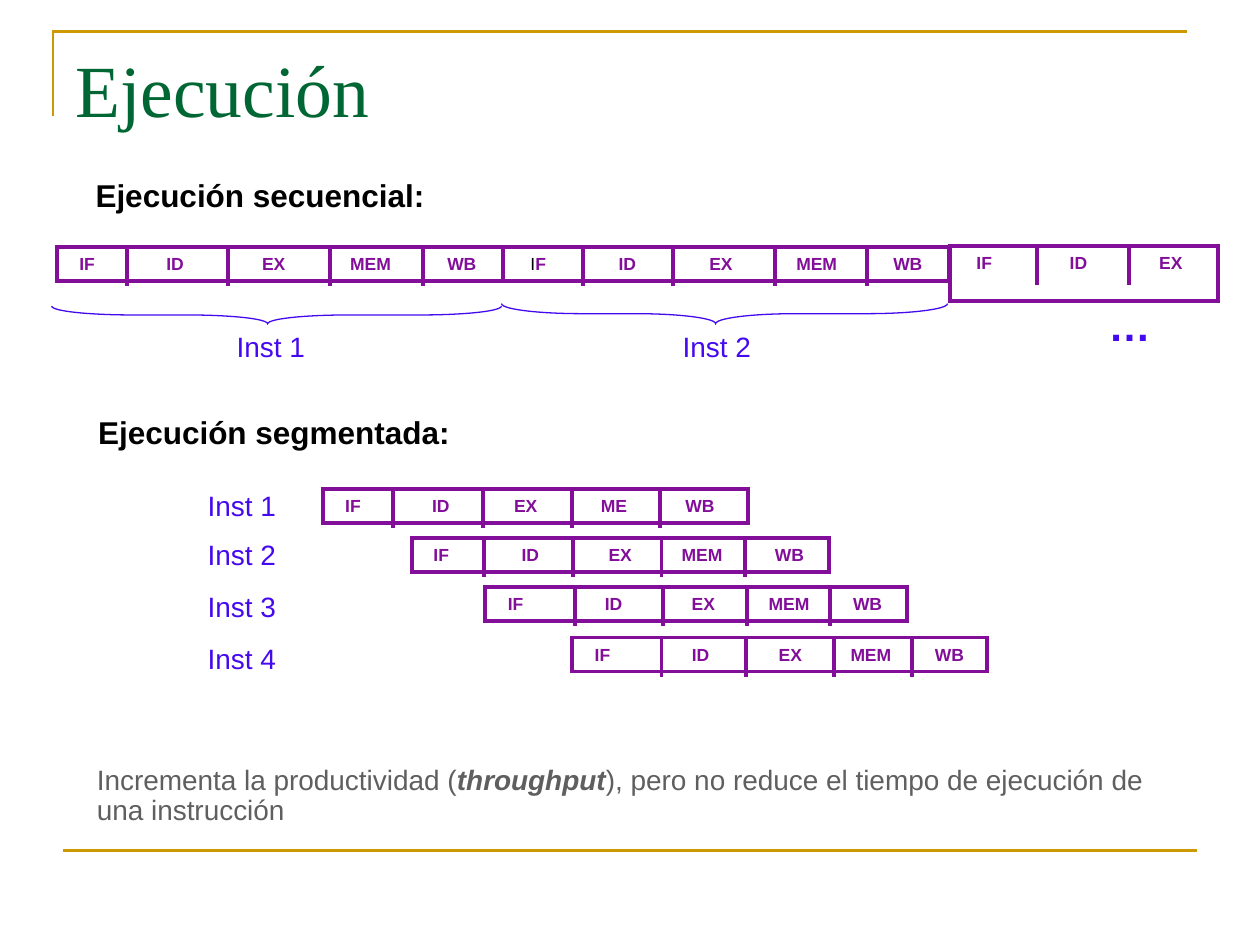
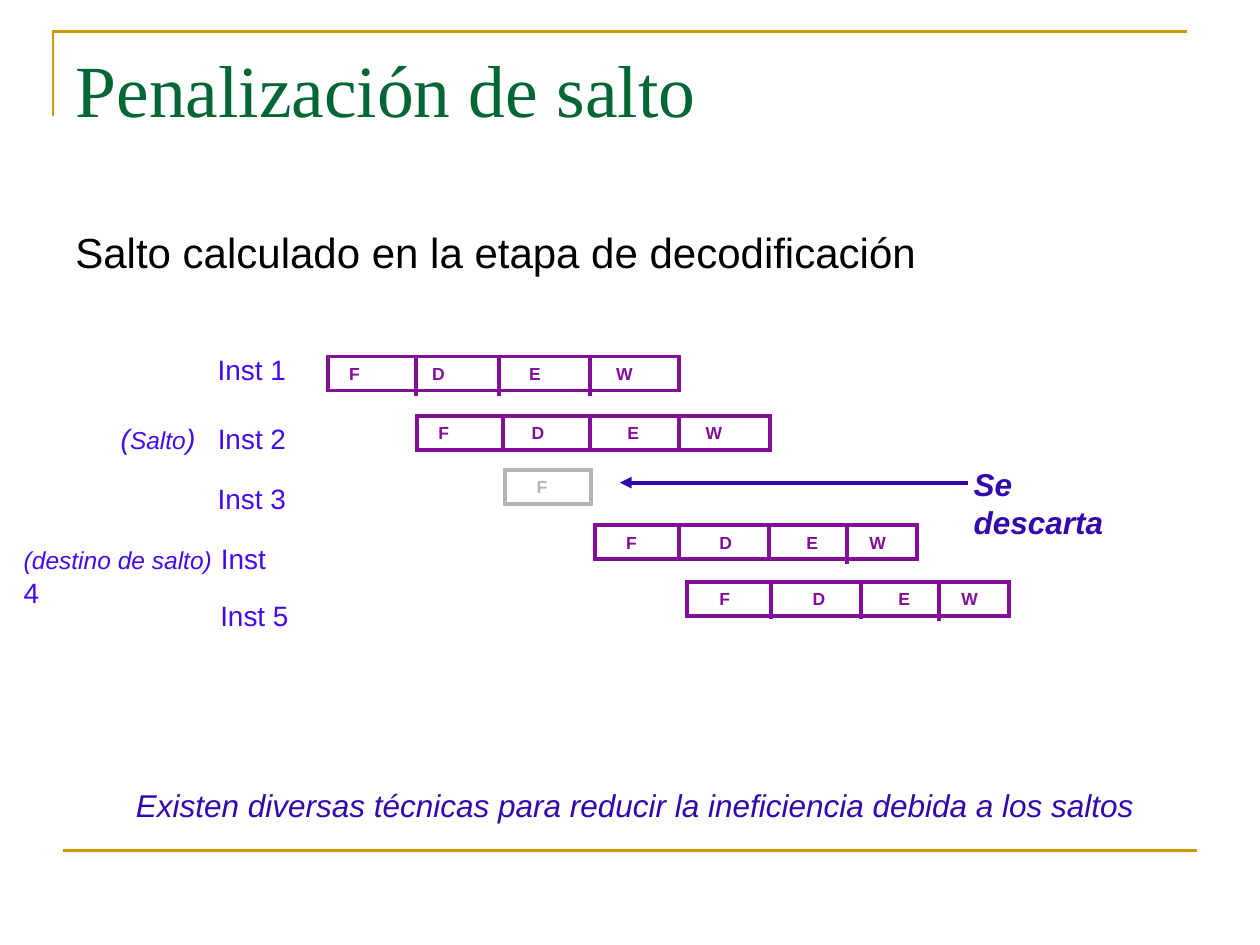
import pptx
import pptx.util
import pptx.dml.color
import pptx.enum.shapes
import pptx.enum.text
import pptx.oxml
import pptx.oxml.ns
import lxml.etree

Inches = pptx.util.Inches
Shape = pptx.enum.shapes.MSO_SHAPE

GOLD, GREEN, PURPLE, BLUE = "CC9900", "006633", "830E9A", "4509EF"
NAVY, GRAY, SILVER, BLACK = "3207AD", "5F5F5F", "B4B4B4", "000000"
BAR_HEIGHT = 0.27

# Each bar: left, top, width, stages with their x, divider x, then options.
EXECUTION_BARS = [
    (0.45, 1.96, 3.54, [("IF", 0.63), ("ID", 1.32), ("EX", 2.08), ("MEM", 2.78), ("WB", 3.55)],
     [1.01, 1.81, 2.62, 3.36], {}),
    (3.99, 1.96, 3.54, [("IF", 4.21), ("ID", 4.91), ("EX", 5.63), ("MEM", 6.32), ("WB", 7.09)],
     [4.63, 5.34, 6.15, 6.88], {"black_letters": 1}),
    (7.54, 1.95, 2.13, [("IF", 7.75), ("ID", 8.49), ("EX", 9.2)],
     [8.23, 8.96], {"height": 0.44}),
    (2.56, 3.88, 3.38, [("IF", 2.74), ("ID", 3.43), ("EX", 4.08), ("ME", 4.77), ("WB", 5.44)],
     [3.12, 3.83, 4.54, 5.24], {}),
    (3.27, 4.27, 3.31, [("IF", 3.44), ("ID", 4.14), ("EX", 4.83), ("MEM", 5.41), ("WB", 6.15)],
     [3.84, 4.55, 5.25, 5.91], {}),
    (3.85, 4.66, 3.35, [("IF", 4.03), ("ID", 4.8), ("EX", 5.49), ("MEM", 6.1), ("WB", 6.77)],
     [4.56, 5.26, 5.93, 6.59], {}),
    (4.54, 5.06, 3.29, [("IF", 4.72), ("ID", 5.49), ("EX", 6.18), ("MEM", 6.75), ("WB", 7.42)],
     [5.25, 5.92, 6.62, 7.24], {}),
]
JUMP_BARS = [
    (2.6, 2.83, 2.79, [("F", 2.77), ("D", 3.43), ("E", 4.2), ("W", 4.89)],
     [3.3, 3.96, 4.68], {}),
    (3.31, 3.3, 2.8, [("F", 3.48), ("D", 4.22), ("E", 4.98), ("W", 5.6)],
     [3.99, 4.68, 5.39], {"depth": 0.28}),
    (4.01, 3.73, 0.68, [("F", 4.26)], [], {"color": SILVER}),
    (4.72, 4.17, 2.56, [("F", 4.97), ("D", 5.71), ("E", 6.4), ("W", 6.9)],
     [5.39, 6.1, 6.72], {"depth": 0.27, "last_depth": 0.3}),
    (5.45, 4.62, 2.56, [("F", 5.71), ("D", 6.45), ("E", 7.13), ("W", 7.63)],
     [6.12, 6.83, 7.45], {"depth": 0.28, "last_depth": 0.3}),
]
# Instruction labels: text, left, top
EXECUTION_LABELS = [
    ("Inst 1", 1.78, 2.57), ("Inst 2", 5.32, 2.57), ("Inst 1", 1.55, 3.83),
    ("Inst 2", 1.55, 4.22), ("Inst 3", 1.55, 4.63), ("Inst 4", 1.55, 5.04),
]
JUMP_LABELS = [("Inst 1", 1.63, 2.75), ("Inst 3", 1.63, 3.77), ("Inst 5", 1.65, 4.7)]
# Braces under the sequential bars: left, right, top, height
BRACES = [(0.41, 3.98, 2.43, 0.14), (3.98, 7.52, 2.41, 0.16)]
HEADINGS = [("Ejecución secuencial:", 0.66, 1.35, 2.81), ("Ejecución segmentada:", 0.68, 3.23, 2.99)]
THROUGHPUT_NOTE = [
    ("Incrementa la productividad (", {}),
    ("throughput", {"bold": True, "italic": True}),
    ("), pero no reduce el tiempo de ejecución de una instrucción", {}),
]
JUMP_SOURCE = [("(", {"italic": True}), ("Salto", {"italic": True, "size": 14}),
               (")", {"italic": True}), ("\tInst 2", {})]
JUMP_TARGET = [("(destino de salto)", {"italic": True, "size": 14}),
               (" ", {"size": 18, "color": BLACK}), ("Inst 4", {})]


def rgb(color):
    return pptx.dml.color.RGBColor.from_string(color)


def format_span(span, size, color, bold=False, italic=False, font="Arial"):
    span.font.name, span.font.size = font, pptx.util.Pt(size)
    span.font.bold, span.font.italic = bold, italic
    span.font.color.rgb = rgb(color)


def write(para, spans, **style):
    """Fill a paragraph from a string or from (text, style changes) pairs."""
    for text, changes in [(spans, {})] if isinstance(spans, str) else spans:
        span = para.add_run()
        span.text = text
        format_span(span, **{**style, **changes})


def set_tabs(para, positions):
    properties = para._p.get_or_add_pPr()
    stops = lxml.etree.SubElement(properties, pptx.oxml.ns.qn("a:tabLst"))
    for position in positions:
        stop = lxml.etree.SubElement(stops, pptx.oxml.ns.qn("a:tab"))
        stop.set("pos", str(Inches(position)))
        stop.set("algn", "l")


def add_text(page, spans, left, top, width, height=0.4, wrap=False, **style):
    """Add a text box; one that does not wrap grows to hold its single line."""
    box = page.shapes.add_textbox(Inches(left), Inches(top), Inches(width), Inches(height))
    box.text_frame.word_wrap = wrap
    if not wrap:
        box.text_frame.auto_size = pptx.enum.text.MSO_AUTO_SIZE.SHAPE_TO_FIT_TEXT
    para = box.text_frame.paragraphs[0]
    write(para, spans, **style)
    return para


def style_outline(shape, color, weight):
    """Leave only a line with sharp corners."""
    shape.shadow.inherit = False
    shape.fill.background()
    shape.line.color.rgb = rgb(color)
    shape.line.width = pptx.util.Pt(weight)
    miter = lxml.etree.SubElement(shape.line._get_or_add_ln(), pptx.oxml.ns.qn("a:miter"))
    miter.set("lim", "800000")


def add_line(page, x1, y1, x2, y2, color, weight=2.25):
    line = page.shapes.add_connector(
        pptx.enum.shapes.MSO_CONNECTOR.STRAIGHT, Inches(x1), Inches(y1), Inches(x2), Inches(y2))
    line.line.color.rgb = rgb(color)
    line.line.width = pptx.util.Pt(weight)
    lxml.etree.SubElement(line._element.spPr, pptx.oxml.ns.qn("a:effectLst"))
    return line


def add_bar(page, left, top, width, stages, dividers, options):
    """Draw one instruction as a box of stages, each name at its own tab stop."""
    color = options.get("color", PURPLE)
    bar = page.shapes.add_shape(Shape.RECTANGLE, Inches(left), Inches(top), Inches(width),
                                Inches(options.get("height", BAR_HEIGHT)))
    style_outline(bar, color, 2.25)
    first_x = stages[0][1]
    frame = bar.text_frame
    frame.margin_left, frame.margin_right = Inches(first_x - left), 0
    frame.vertical_anchor = pptx.enum.text.MSO_ANCHOR.TOP
    frame.word_wrap = True
    para = frame.paragraphs[0]
    para.alignment = pptx.enum.text.PP_ALIGN.LEFT
    set_tabs(para, [x - first_x for _, x in stages[1:]])
    names = "\t".join(name for name, _ in stages)
    black = options.get("black_letters", 0)
    spans = [(names[:black], {"color": BLACK, "bold": False}), (names[black:], {})]
    write(para, [span for span in spans if span[0]], size=10, color=color, bold=True)

    depth = options.get("depth", 0.3)
    for x in dividers:
        if x == dividers[-1]:
            depth = options.get("last_depth", depth)
        add_line(page, x, top + 0.01, x, top + 0.01 + depth, color)


def add_brace(page, left, right, top, height):
    """Add a brace that opens upwards, by turning a right brace a quarter."""
    length = right - left
    brace = page.shapes.add_shape(
        Shape.RIGHT_BRACE, Inches((left + right - height) / 2),
        Inches(top + (height - length) / 2), Inches(height), Inches(length))
    brace.rotation = 90
    brace.adjustments[0], brace.adjustments[1] = 0.64 / height, 0.52
    style_outline(brace, BLUE, 0.75)


def add_diagram(page, bars, labels):
    for bar in bars:
        add_bar(page, *bar)
    for text, left, top in labels:
        add_text(page, text, left, top, 0.74, 0.37, size=16, color=BLUE)


def set_up_layout(layout, page):
    """Give the layout its title place and gold frame, drawn first on a page."""
    title = layout.placeholders[0]
    title.left, title.top = Inches(0.5), Inches(0.3)
    title.width, title.height = Inches(9), Inches(1.25)
    corner = page.shapes.build_freeform(Inches(0.42), Inches(0.92))
    corner.add_line_segments([(Inches(0.42), Inches(0.25)), (Inches(9.42), Inches(0.25))], close=False)
    frame = corner.convert_to_shape()
    style_outline(frame, GOLD, 1.5)
    footer = add_line(page, 0.5, 6.75, 9.5, 6.75, GOLD, 1.5)
    for part in (frame, footer):
        layout.shapes.element.append(part.element)


def set_title(page, text):
    frame = page.shapes.title.text_frame
    frame.text = text
    frame.vertical_anchor = pptx.enum.text.MSO_ANCHOR.TOP
    frame.paragraphs[0].alignment = pptx.enum.text.PP_ALIGN.LEFT
    format_span(frame.paragraphs[0].runs[0], 42, GREEN, font="Times New Roman")


def fill_execution(page):
    set_title(page, "Ejecución")
    add_diagram(page, EXECUTION_BARS, EXECUTION_LABELS)
    for brace in BRACES:
        add_brace(page, *brace)
    for text, left, top, width in HEADINGS:
        add_text(page, text, left, top, width, size=18, color=BLACK, bold=True)
    add_text(page, "…", 8.7, 2.33, 0.53, 0.5, size=24, color=BLUE, bold=True)
    note = add_text(page, THROUGHPUT_NOTE, 0.67, 6.03, 8.54, 0.58, wrap=True, size=16, color=GRAY)
    note.line_spacing, note.space_before = 0.9, pptx.util.Pt(4)


def fill_jump(page):
    set_title(page, "Penalización de salto")
    subject = add_text(page, "Salto calculado en la etapa de decodificación",
                       0.5, 1.75, 9, 4.95, wrap=True, size=24, color=BLACK)
    subject.space_before = pptx.util.Pt(6)
    add_diagram(page, JUMP_BARS, JUMP_LABELS)
    source = add_text(page, JUMP_SOURCE, 0.86, 3.3, 1.59, 0.37, wrap=True, size=16, color=BLUE)
    set_tabs(source, [0.77])
    add_text(page, JUMP_TARGET, 0.09, 4.22, 2.3, size=16, color=BLUE)
    arrow = add_line(page, 4.92, 3.83, 7.68, 3.83, NAVY)
    head = lxml.etree.SubElement(arrow.line._get_or_add_ln(), pptx.oxml.ns.qn("a:headEnd"))
    head.set("type", "triangle")
    add_text(page, "Se descarta", 7.63, 3.64, 1.6, size=18, color=NAVY, bold=True, italic=True)
    add_text(page, "Existen diversas técnicas para reducir la ineficiencia debida a los saltos",
             0.98, 6.19, 8.12, size=18, color=NAVY, italic=True)


def main():
    deck = pptx.Presentation()
    deck.slide_width, deck.slide_height = Inches(10), Inches(7.5)
    layout = deck.slide_layouts[5]
    execution, jump = [deck.slides.add_slide(layout) for _ in range(2)]
    set_up_layout(layout, execution)
    fill_execution(execution)
    fill_jump(jump)
    deck.save("out.pptx")


if __name__ == "__main__":
    main()
